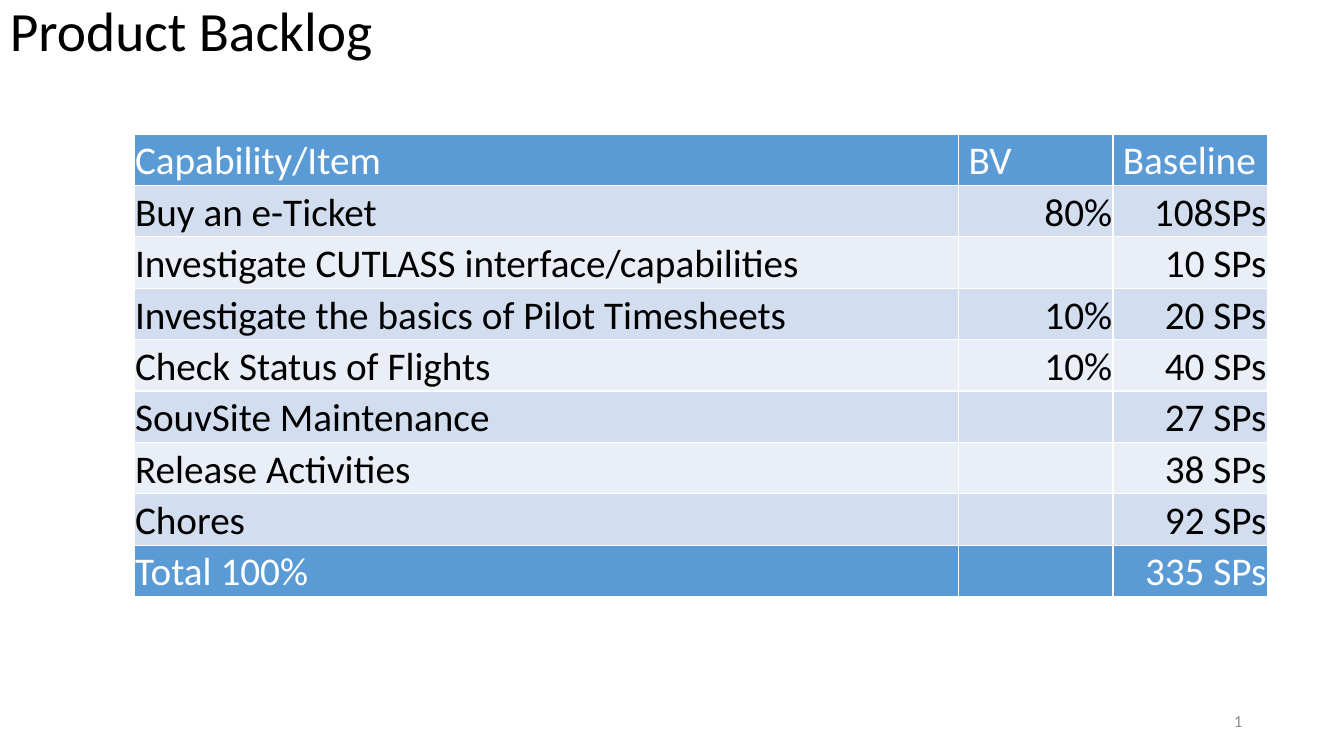
from lxml.etree import SubElement
from pptx import Presentation
from pptx.dml.color import RGBColor
from pptx.enum.text import MSO_ANCHOR as Anchor, PP_ALIGN as Align
from pptx.oxml.ns import qn
from pptx.util import Inches, Pt

TITLE = "Product Backlog"
NUMBER = "1"
ROWS = [
    ("Capability/Item", " BV", " Baseline"),
    ("Buy an e-Ticket", "80%", " 108SPs"),
    ("Investigate CUTLASS interface/capabilities", "", " 10 SPs"),
    ("Investigate the basics of Pilot Timesheets", "10%", "20 SPs"),
    ("Check Status of Flights", "10%", "40 SPs"),
    ("SouvSite Maintenance", "", "27 SPs"),
    ("Release Activities", "", "38 SPs"),
    ("Chores", "", " 92 SPs"),
    ("Total 100%", "", " 335 SPs"),
]
COLS = (8.18, 1.53, 1.53)
ROW_H = 0.51
FONT = "Calibri"
HEX = {
    "black": "000000",
    "white": "FFFFFF",
    "grey": "8C8C8C",
    "blue": "5B9BD5",
    "odd": "D2DEEF",
    "even": "EAEFF7",
}


def color(name):
    return RGBColor.from_string(HEX[name])


def style(frame, size, ink, align):
    para = frame.paragraphs[0]
    para.alignment = align
    for run in para.runs:
        run.font.name = FONT
        run.font.size = Pt(size)
        run.font.color.rgb = color(ink)
    return para


def add_text(slide, box, text, size, ink, align):
    frame = slide.shapes.add_textbox(*map(Inches, box)).text_frame
    frame.word_wrap = True
    frame.vertical_anchor = Anchor.MIDDLE
    frame.text = text
    return style(frame, size, ink, align)


def add_edges(cell):
    """Draw a thin white line on all four sides of the cell."""
    props = cell._tc.get_or_add_tcPr()
    for side in ("lnL", "lnR", "lnT", "lnB"):
        line = SubElement(props, qn(f"a:{side}"), w=str(Pt(1)))
        fill = SubElement(line, qn("a:solidFill"))
        SubElement(fill, qn("a:srgbClr"), val=HEX["white"])


def fill_cell(cell, text, row, col):
    head, total = row == 0, row == len(ROWS) - 1
    strong = head or total
    add_edges(cell)
    cell.fill.solid()
    band = "odd" if row % 2 else "even"
    cell.fill.fore_color.rgb = color("blue" if strong else band)
    if not text:
        return
    cell.margin_left = cell.margin_right = cell.margin_top = Inches(0.01)
    cell.margin_bottom = 0
    cell.vertical_anchor = Anchor.BOTTOM
    cell.text_frame.text = text
    align = Align.LEFT if head or col == 0 else Align.RIGHT
    style(cell.text_frame, 28, "white" if strong else "black", align)


def add_backlog(slide):
    size = (sum(COLS), ROW_H * len(ROWS))
    box = map(Inches, (1.33, 1.33, *size))
    table = slide.shapes.add_table(len(ROWS), len(COLS), *box).table
    for col, width in zip(table.columns, COLS):
        col.width = Inches(width)
    for r, row in enumerate(ROWS):
        table.rows[r].height = Inches(ROW_H)
        for c, text in enumerate(row):
            fill_cell(table.cell(r, c), text, r, c)


def main():
    deck = Presentation()
    deck.slide_width, deck.slide_height = Inches(13.33), Inches(7.5)
    slide = deck.slides.add_slide(deck.slide_layouts[6])
    title = add_text(slide, (0, 0, 13.33, 0.67), TITLE, 39.6, "black", Align.LEFT)
    title.line_spacing = 0.9
    add_backlog(slide)
    add_text(slide, (9.42, 6.95, 3, 0.4), NUMBER, 12, "grey", Align.RIGHT)
    deck.save("out.pptx")


if __name__ == "__main__":
    main()
